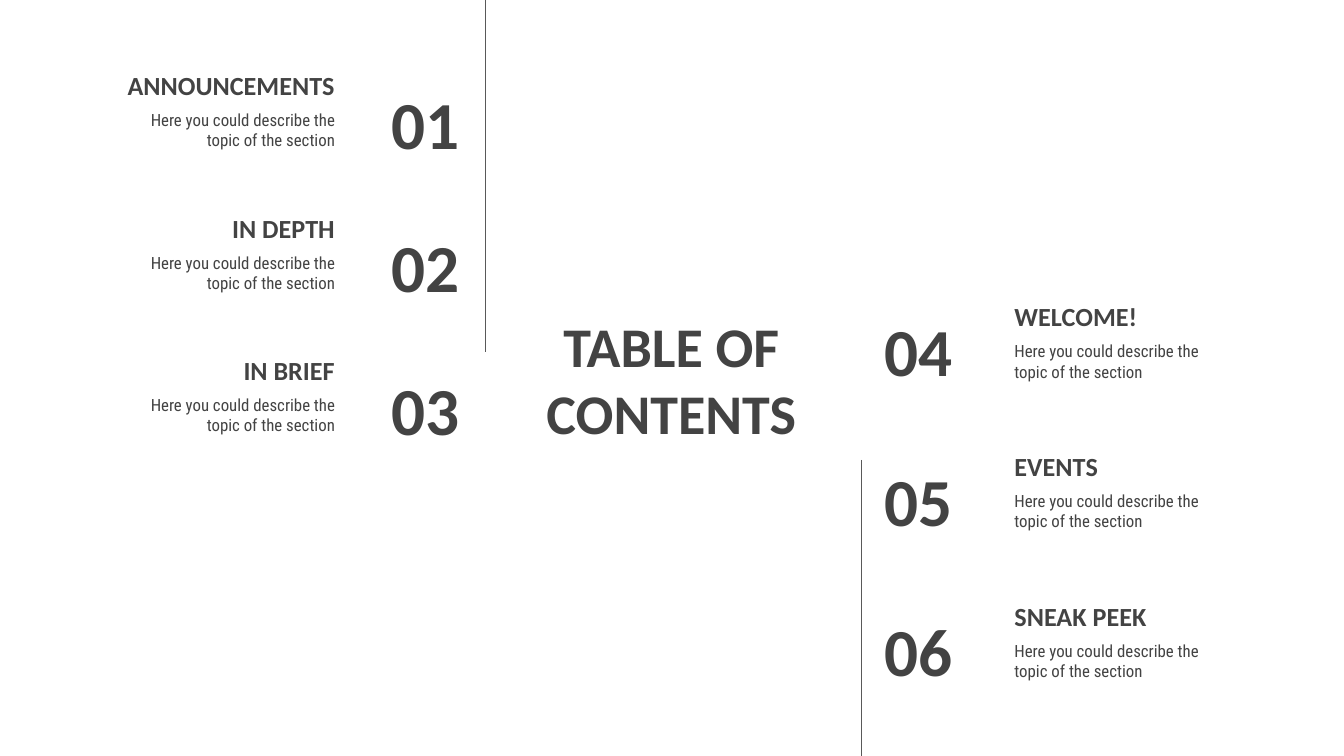
from dataclasses import dataclass

from lxml import etree
from pptx import Presentation
from pptx.dml.color import RGBColor
from pptx.enum.shapes import MSO_CONNECTOR
from pptx.enum.text import MSO_ANCHOR, PP_ALIGN
from pptx.oxml.ns import qn
from pptx.util import Pt

LEFT, CENTER, RIGHT = PP_ALIGN.LEFT, PP_ALIGN.CENTER, PP_ALIGN.RIGHT
TOP, MIDDLE, BOTTOM = MSO_ANCHOR.TOP, MSO_ANCHOR.MIDDLE, MSO_ANCHOR.BOTTOM
STRAIGHT = MSO_CONNECTOR.STRAIGHT


@dataclass(frozen=True)
class Theme:
    text: RGBColor = RGBColor(0x43, 0x43, 0x43)
    line: RGBColor = RGBColor(0x59, 0x59, 0x59)
    heading_font: str = "Calibri"
    body_font: str = "Roboto Condensed"
    title_size: int = 30
    number_size: int = 36
    heading_size: int = 14
    body_size: int = 9


theme = Theme()


def add_text(text, *, left, top, width, height=45.4, size, font=theme.heading_font,
             bold=True, align=LEFT, anchor=MIDDLE):
    shape = slide.shapes.add_textbox(Pt(left), Pt(top), Pt(width), Pt(height))
    frame = shape.text_frame
    frame.word_wrap = True
    frame.vertical_anchor = anchor
    frame.margin_left = frame.margin_right = Pt(7.2)
    frame.margin_top = frame.margin_bottom = Pt(7.2)
    paragraph = frame.paragraphs[0]
    paragraph.alignment = align
    run = paragraph.add_run()
    run.text = text
    run.font.name = font
    run.font.size = Pt(size)
    run.font.bold = bold
    run.font.color.rgb = theme.text


presentation = Presentation()
presentation.slide_width = Pt(720)
presentation.slide_height = Pt(405)
slide = presentation.slides.add_slide(presentation.slide_layouts[6])

# Slide title
add_text("TABLE OF CONTENTS", left=266.4, top=165.6, width=186.5, height=74.2,
         size=theme.title_size, align=CENTER)

# Vertical rules
for x, start, end in [(260, 0, 188.6), (461.5, 246.4, 405)]:
    rule = slide.shapes.add_connector(STRAIGHT, Pt(x), Pt(start), Pt(x), Pt(end))
    rule.line.color.rgb = theme.line
    rule.line.width = Pt(0.75)
    etree.SubElement(rule._element.spPr, qn("a:effectLst"))

# Sections: one column on each side of the title
columns = [
    dict(headings=["ANNOUNCEMENTS", "IN DEPTH", "IN BRIEF"], first=1, align=RIGHT,
         top=15.8, step=76.4, heading_left=31, body_left=54.7,
         number_left=166, number_width=87.1, number_drop=27.4),
    dict(headings=["WELCOME!", "EVENTS", "SNEAK PEEK"], first=4, align=LEFT,
         top=139.7, step=80.3, heading_left=536.4, body_left=536.4,
         number_left=466.6, number_width=84.2, number_drop=25),
]
for column in columns:
    align = column["align"]
    for row, heading in enumerate(column["headings"]):
        top = column["top"] + row * column["step"]
        add_text(heading, left=column["heading_left"], top=top, width=155.5,
                 size=theme.heading_size, align=align, anchor=BOTTOM)
        add_text("Here you could describe the topic of the section",
                 left=column["body_left"], top=top + 35.8, width=131.8,
                 size=theme.body_size, font=theme.body_font, bold=False,
                 align=align, anchor=TOP)
        add_text(f"{column['first'] + row:02}", left=column["number_left"],
                 top=top + column["number_drop"], width=column["number_width"],
                 size=theme.number_size, align=align)

presentation.save("out.pptx")
